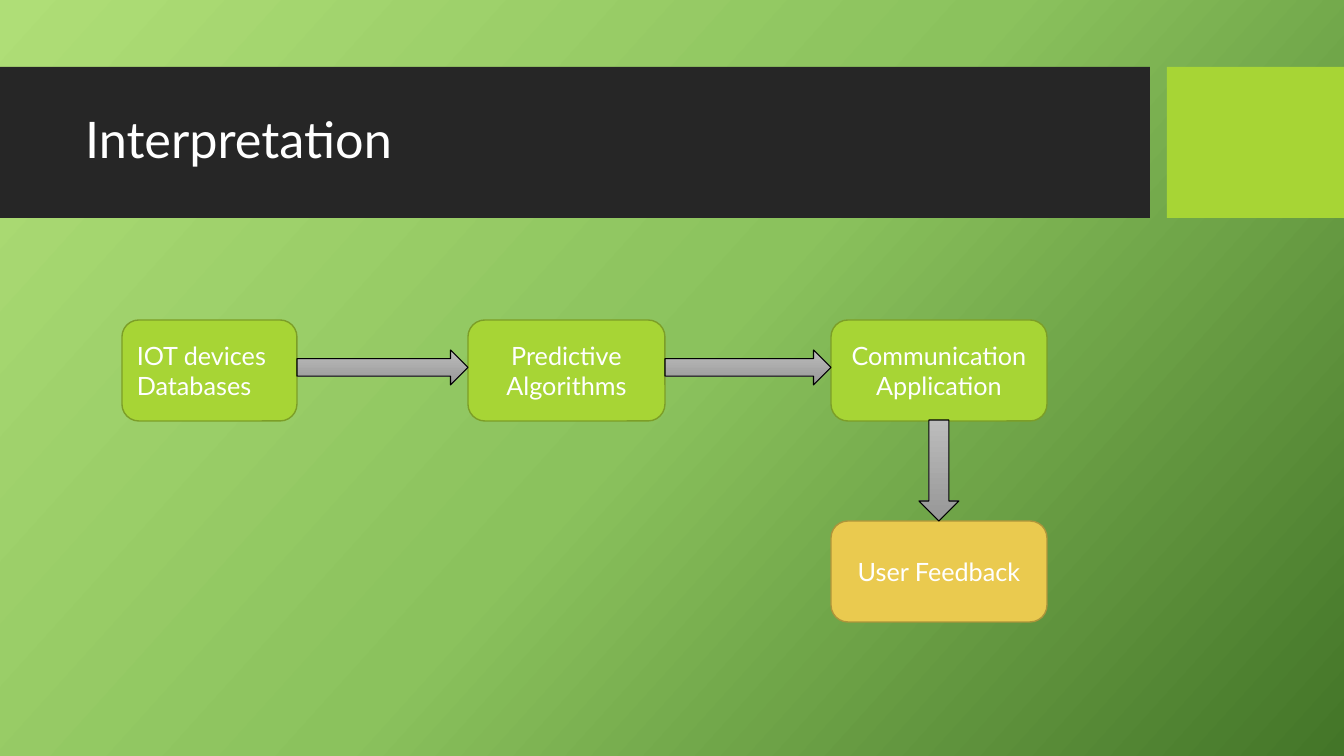
from copy import deepcopy

from pptx import Presentation
from pptx.dml.color import RGBColor
from pptx.enum.shapes import MSO_SHAPE
from pptx.enum.text import MSO_ANCHOR, PP_ALIGN
from pptx.oxml.ns import qn
from pptx.util import Pt

PX = 914400 / 100.8
RECTANGLE = MSO_SHAPE.RECTANGLE
ROUNDED = MSO_SHAPE.ROUNDED_RECTANGLE
RIGHT_ARROW = MSO_SHAPE.RIGHT_ARROW
DOWN_ARROW = MSO_SHAPE.DOWN_ARROW
MIDDLE = MSO_ANCHOR.MIDDLE
LEFT = PP_ALIGN.LEFT
CENTER = PP_ALIGN.CENTER
FONT = "Lato"
WHITE = "FFFFFF"
DARK = "262626"
LIME = "A7D535"
LIME_EDGE = "7C9E27"
GOLD = "EACA4F"
GOLD_EDGE = "AD953A"


def paint(target, *colors, angle=0):
    fill = target.fill
    if len(colors) == 1:
        fill.solid()
        fill.fore_color.rgb = RGBColor.from_string(colors[0])
        return
    fill.gradient()
    fill.gradient_angle = 360 - angle
    owner = page if target is page.background else target
    stop_list = owner.element.find(".//" + qn("a:gsLst"))
    for extra in range(len(colors) - 2):
        stop_list.append(deepcopy(stop_list[0]))
    for index, (stop, color) in enumerate(zip(fill.gradient_stops, colors)):
        stop.position = index / (len(colors) - 1)
        stop.color.rgb = RGBColor.from_string(color)


def add_block(kind, place, colors, edge=None, weight=1):
    block = page.shapes.add_shape(kind, *[round(value * PX) for value in place])
    block.shadow.inherit = False
    paint(block, *colors, angle=90)
    if edge:
        paint(block.line, edge)
        block.line.width = Pt(weight)
    else:
        block.line.fill.background()
    return block


deck = Presentation()
deck.slide_width = round(1344 * PX)
deck.slide_height = round(756 * PX)
page = deck.slides.add_slide(deck.slide_layouts[5])
paint(page.background, "AFDE77", "8BC25D", "437528", angle=42)

title = page.shapes.title
for left, width, color in [(0, 1150, DARK), (1167, 177, LIME)]:
    band = add_block(RECTANGLE, (left, 67, width, 151), [color])
    title.element.addprevious(band.element)

title.left, title.top, title.width, title.height = [
    round(value * PX) for value in (75, 83, 1059, 119)
]
title.text_frame.text = "Interpretation"
title.text_frame.vertical_anchor = MIDDLE
heading = title.text_frame.paragraphs[0]
heading.alignment = LEFT
heading.line_spacing = 0.9
heading.font.name = FONT
heading.font.size = Pt(36)
heading.font.color.rgb = RGBColor.from_string(WHITE)

steps = [
    ("IOT devices\nDatabases", 122, 320, 175, LEFT, LIME, LIME_EDGE),
    ("Predictive Algorithms", 468, 320, 197, CENTER, LIME, LIME_EDGE),
    ("Communication\nApplication", 831, 320, 216, CENTER, LIME, LIME_EDGE),
    ("User Feedback", 831, 521, 216, CENTER, GOLD, GOLD_EDGE),
]
for words, left, top, width, alignment, color, edge in steps:
    box = add_block(ROUNDED, (left, top, width, 101), [color], edge)
    frame = box.text_frame
    frame.text = words
    frame.word_wrap = True
    frame.vertical_anchor = MIDDLE
    for para in frame.paragraphs:
        para.alignment = alignment
        para.font.name = FONT
        para.font.size = Pt(18)
        para.font.color.rgb = RGBColor.from_string(WHITE)

arrows = [
    (RIGHT_ARROW, (297, 350, 171, 35)),
    (RIGHT_ARROW, (665, 350, 166, 35)),
    (DOWN_ARROW, (919, 420, 40, 101)),
]
for kind, place in arrows:
    add_block(kind, place, ["BCBCBC", "979797"], "000000", 0.75)

deck.save("out.pptx")
